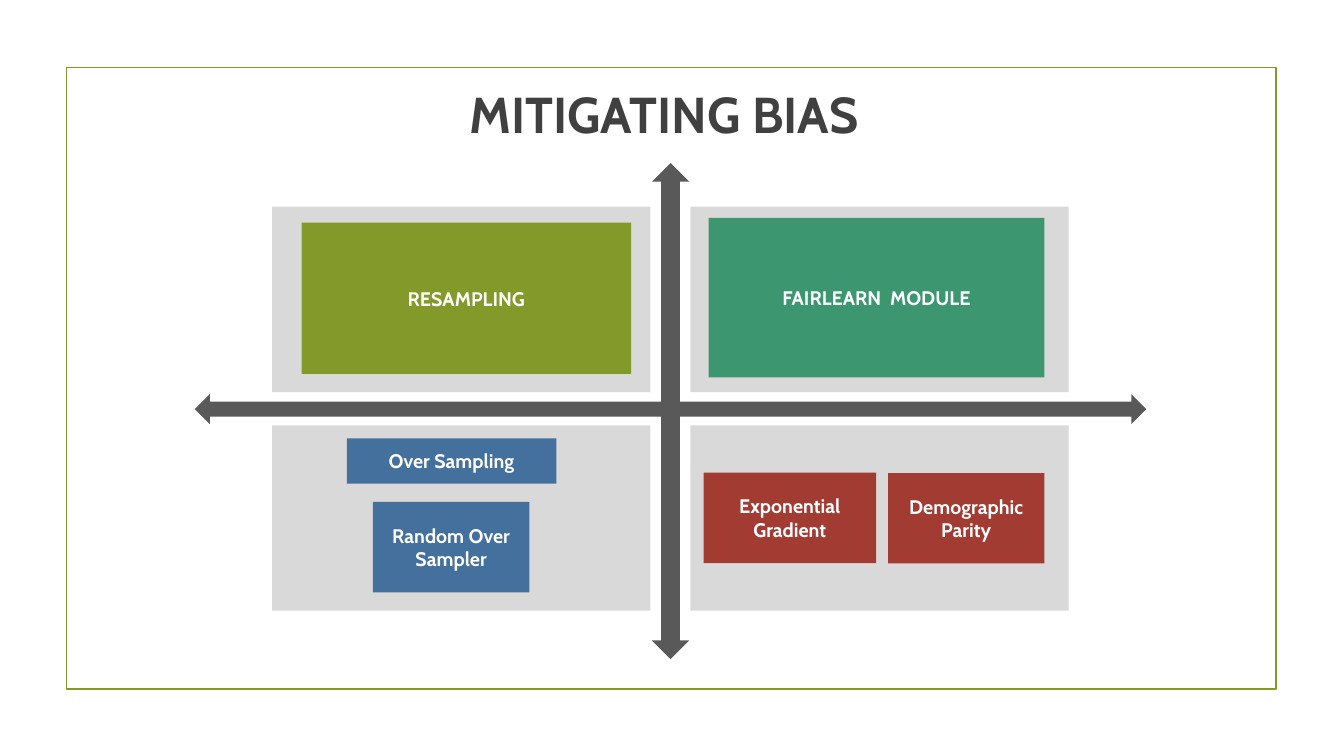
from pptx import Presentation
from pptx.dml.color import RGBColor
from pptx.enum.shapes import MSO_SHAPE as Shape
from pptx.enum.text import MSO_ANCHOR as Anchor, MSO_AUTO_SIZE as Fit, PP_ALIGN as Align
from pptx.util import Cm, Pt

HUES = {
    "title": "404040", "arrow": "595959", "panel": "D9D9D9", "white": "FFFFFF",
    "olive": "83992A", "green": "3C9770", "blue": "44709D", "red": "A23C33",
}


def hue(name):
    return RGBColor.from_string(HUES[name])


def draw(kind, box, fill, text=""):
    """Add a borderless filled shape; box is left, top, width, height in cm."""
    shape = slide.shapes.add_shape(kind, *map(Cm, box))
    shape.shadow.inherit = False
    shape.fill.solid()
    shape.fill.fore_color.rgb = hue(fill)
    shape.line.fill.background()
    if text:
        frame = shape.text_frame
        frame.text = text
        frame.word_wrap = True
        frame.vertical_anchor = Anchor.MIDDLE
        para = frame.paragraphs[0]
        para.alignment = Align.CENTER
        font = para.runs[0].font
        font.name, font.size, font.bold = "Cabin", Pt(14), True
        font.color.rgb = hue("white")
    return shape


deck = Presentation()
deck.slide_width, deck.slide_height = Cm(33.87), Cm(19.05)
slide = deck.slides.add_slide(deck.slide_layouts[5])

# Frame and title
border = draw(Shape.RECTANGLE, (1.68, 1.7, 30.48, 15.67), "white")
border.fill.background()
border.line.color.rgb = hue("olive")
border.line.width = Pt(1.25)

title = slide.shapes.title
title.left, title.top, title.width, title.height = map(Cm, (-0.2, 1.96, 33.87, 1.8))
frame = title.text_frame
frame.text = "MITIGATING BIAS"
frame.auto_size = Fit.NONE
frame.vertical_anchor = Anchor.MIDDLE
para = frame.paragraphs[0]
para.alignment = Align.CENTER
font = para.runs[0].font
font.name, font.size, font.bold = "Cabin", Pt(36), True
font.color.rgb = hue("title")

# Axes and quadrants
draw(Shape.UP_DOWN_ARROW, (16.43, 4.11, 0.94, 12.5), "arrow")
draw(Shape.LEFT_RIGHT_ARROW, (4.91, 9.93, 23.98, 0.76), "arrow")
for left in (6.86, 17.4):
    for top in (5.21, 10.72):
        draw(Shape.RECTANGLE, (left, top, 9.53, 4.67), "panel")

# Methods
cards = [
    ("RESAMPLING", "olive", (7.6, 5.61, 8.31, 3.81)),
    ("FAIRLEARN  MODULE", "green", (17.86, 5.49, 8.46, 4.02)),
    ("Over Sampling", "blue", (8.74, 11.05, 5.28, 1.14)),
    ("Random Over Sampler", "blue", (9.4, 12.65, 3.94, 2.28)),
    ("Exponential Gradient", "red", (17.73, 11.91, 4.35, 2.28)),
    ("Demographic Parity", "red", (22.38, 11.92, 3.94, 2.28)),
]
for text, fill, box in cards:
    draw(Shape.RECTANGLE, box, fill, text)

deck.save("out.pptx")
